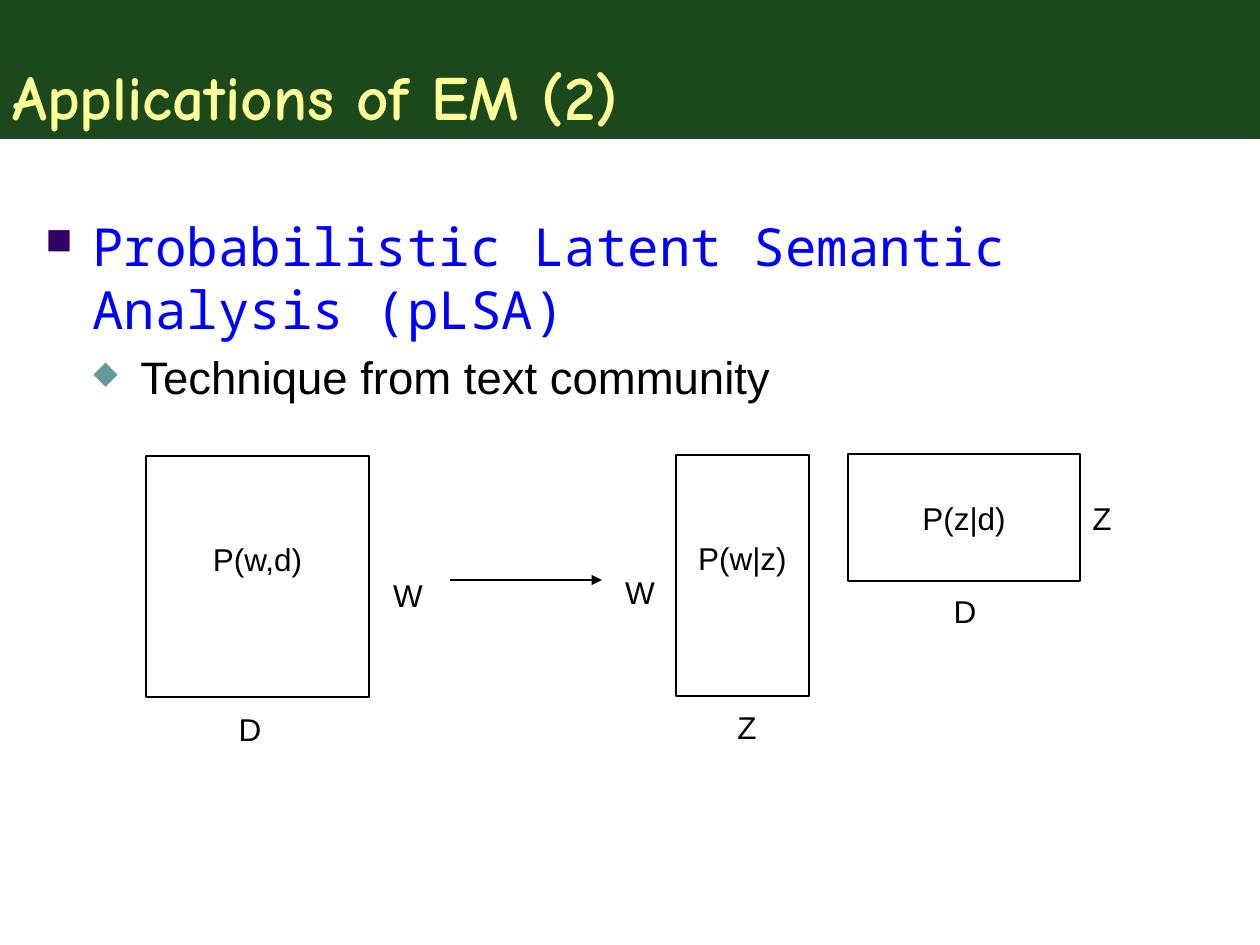
from typing import NamedTuple

from lxml.etree import SubElement
from pptx import Presentation
from pptx.dml.color import RGBColor
from pptx.enum.shapes import MSO_CONNECTOR, MSO_SHAPE
from pptx.enum.text import MSO_ANCHOR, PP_ALIGN
from pptx.oxml.ns import qn
from pptx.util import Emu, Pt

EMU_PER_INCH = 914400
PX_PER_INCH = 126
BLACK = "000000"


class Matrix(NamedTuple):
    text: str
    left: int
    top: int
    width: int
    height: int
    text_rise: int


class Label(NamedTuple):
    text: str
    left: int
    top: int
    width: int


class Bullet(NamedTuple):
    text: str
    level: int
    indent: int
    symbol: str
    symbol_color: str
    font: str
    size: int
    color: str
    space_before: int


MATRICES = [
    Matrix("P(w,d)", 146, 456, 223, 241, 18),
    Matrix("P(w|z)", 676, 455, 133, 241, 18),
    Matrix("P(z|d)", 848, 454, 232, 127, 0),
]
LABELS = [
    Label("Z", 725, 702, 44),
    Label("W", 612, 567, 56),
    Label("D", 941, 586, 48),
    Label("Z", 1080, 493, 44),
    Label("D", 226, 704, 48),
    Label("W", 380, 570, 56),
]
BULLETS = [
    Bullet("Probabilistic Latent Semantic Analysis (pLSA)", 0, 47, "■", "330066",
           "Noto Sans Mono", 30, "0000FF", 0),
    Bullet("Technique from text community", 1, 95, "◆", "669999",
           "Arial", 26, BLACK, 5),
]
HANGING = 47
LABEL_HEIGHT = 50
INSET = 6


def px(length: int) -> Emu:
    return Emu(round(length * EMU_PER_INCH / PX_PER_INCH))


def rgb(value: str) -> RGBColor:
    return RGBColor.from_string(value)


def format_runs(paragraph, font: str, size: int, color: str, bold: bool = False) -> None:
    for span in paragraph.runs:
        span.font.name = font
        span.font.size = Pt(size)
        span.font.bold = bold
        span.font.color.rgb = rgb(color)


def add_title(page, text: str) -> None:
    band = page.shapes.add_shape(MSO_SHAPE.RECTANGLE, 0, 0, px(1260), px(139))
    band.shadow.inherit = False
    band.fill.solid()
    band.fill.fore_color.rgb = rgb("003300")
    fill_color = band.fill._xPr.find(qn("a:solidFill"))[0]
    SubElement(fill_color, qn("a:alpha"), val="89000")
    band.line.fill.background()
    frame = band.text_frame
    frame.text = text
    frame.vertical_anchor = MSO_ANCHOR.BOTTOM
    frame.paragraphs[0].alignment = PP_ALIGN.LEFT
    format_runs(frame.paragraphs[0], "Comic Neue", 36, "FFFF99", bold=True)


def add_bullets(page, bullets: list[Bullet]) -> None:
    box = page.shapes.add_textbox(px(33), px(208), px(1206), px(624))
    frame = box.text_frame
    frame.word_wrap = True
    frame.text = "\n".join(bullet.text for bullet in bullets)
    for paragraph, bullet in zip(frame.paragraphs, bullets):
        paragraph.level = bullet.level
        properties = paragraph._p.get_or_add_pPr()
        properties.set("marL", str(px(bullet.indent)))
        properties.set("indent", str(-px(HANGING)))
        symbol_color = SubElement(properties, qn("a:buClr"))
        SubElement(symbol_color, qn("a:srgbClr"), val=bullet.symbol_color)
        SubElement(properties, qn("a:buSzPct"), val="70000")
        SubElement(properties, qn("a:buChar"), char=bullet.symbol)
        paragraph.space_before = Pt(bullet.space_before)
        format_runs(paragraph, bullet.font, bullet.size, bullet.color)


def add_matrix(page, matrix: Matrix) -> None:
    box = page.shapes.add_shape(MSO_SHAPE.RECTANGLE, px(matrix.left), px(matrix.top),
                                px(matrix.width), px(matrix.height))
    box.shadow.inherit = False
    box.fill.background()
    box.line.color.rgb = rgb(BLACK)
    box.line.width = Pt(0.75)
    frame = box.text_frame
    frame.word_wrap = False
    frame.vertical_anchor = MSO_ANCHOR.MIDDLE
    frame.margin_top = px(INSET)
    frame.margin_bottom = px(INSET + 2 * matrix.text_rise)
    frame.text = matrix.text
    frame.paragraphs[0].alignment = PP_ALIGN.CENTER
    format_runs(frame.paragraphs[0], "Arial", 18, BLACK)


def add_label(page, label: Label) -> None:
    box = page.shapes.add_textbox(px(label.left), px(label.top),
                                  px(label.width), px(LABEL_HEIGHT))
    frame = box.text_frame
    frame.word_wrap = False
    frame.text = label.text
    frame.paragraphs[0].alignment = PP_ALIGN.CENTER
    format_runs(frame.paragraphs[0], "Arial", 18, BLACK)


def add_arrow(page, left: int, right: int, height: int) -> None:
    arrow = page.shapes.add_connector(MSO_CONNECTOR.STRAIGHT, px(left), px(height),
                                      px(right), px(height))
    arrow.line.color.rgb = rgb(BLACK)
    arrow.line.width = Pt(0.75)
    SubElement(arrow.line._get_or_add_ln(), qn("a:tailEnd"), type="triangle")
    SubElement(arrow._element.spPr, qn("a:effectLst"))


def main() -> None:
    deck = Presentation()
    deck.slide_width = px(1260)
    deck.slide_height = px(945)
    page = deck.slides.add_slide(deck.slide_layouts[6])
    add_title(page, "Applications of EM (2)")
    add_bullets(page, BULLETS)
    for matrix in MATRICES:
        add_matrix(page, matrix)
    for label in LABELS:
        add_label(page, label)
    add_arrow(page, 450, 602, 580)
    deck.save("out.pptx")


if __name__ == "__main__":
    main()
